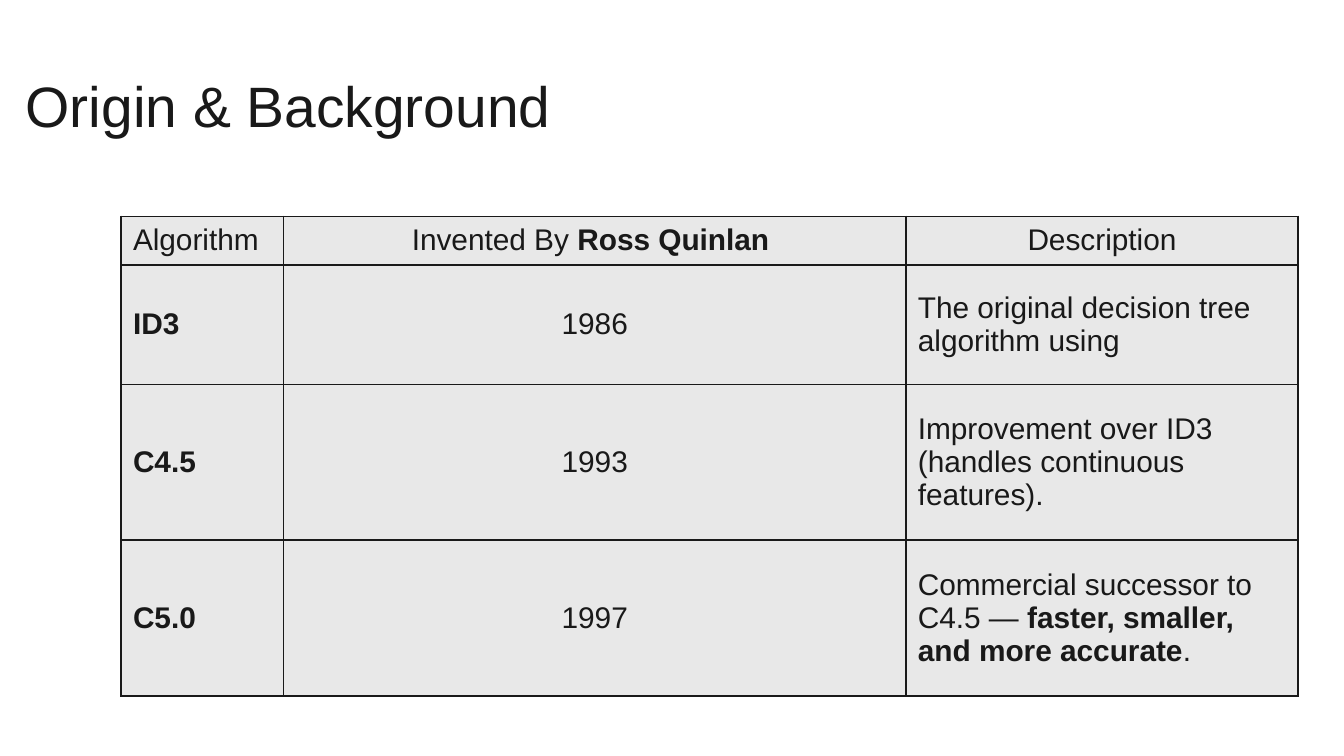
from pptx import Presentation
from pptx.dml.color import RGBColor
from pptx.enum import text
from pptx.oxml import parse_xml
from pptx.oxml.ns import nsdecls
from pptx.util import Inches, Pt

COLORS = {"ink": "191919", "cell": "E8E8E8", "page": "FFFFFF"}
LEFT, CENTER = text.PP_ALIGN.LEFT, text.PP_ALIGN.CENTER


def write(tf, runs, size=16, align=LEFT, spacing=None):
    """Fill the first paragraph with (text, bold) runs."""
    p = tf.paragraphs[0]
    p.alignment = align
    if spacing:
        p.line_spacing = spacing
    for words, bold in runs:
        r = p.add_run()
        r.text = words
        r.font.name = "Arial"
        r.font.size = Pt(size)
        r.font.bold = bold
        r.font.color.rgb = RGBColor.from_string(COLORS["ink"])


def add_borders(cell):
    """Draw a 1 pt line on all four sides, placed ahead of the fill."""
    tcPr = cell._tc.get_or_add_tcPr()
    for i, side in enumerate(("lnL", "lnR", "lnT", "lnB")):
        tcPr.insert(i, parse_xml(
            f'<a:{side} {nsdecls("a")} w="{Pt(1)}"><a:solidFill>'
            f'<a:srgbClr val="{COLORS["ink"]}"/></a:solidFill></a:{side}>'))


# Widescreen 16:9 slide
prs = Presentation()
prs.slide_width, prs.slide_height = Inches(10), Inches(10 * 9 / 16)
s = prs.slides.add_slide(prs.slide_layouts[5])
s.background.fill.solid()
s.background.fill.fore_color.rgb = RGBColor.from_string(COLORS["page"])

# Title
sp = s.shapes.title
sp.left, sp.top, sp.width, sp.height = map(Inches, (0.09, 0.23, 4.81, 1.16))
tf = sp.text_frame
tf.word_wrap = True
tf.auto_size = text.MSO_AUTO_SIZE.NONE
tf.vertical_anchor = text.MSO_ANCHOR.MIDDLE
tf.margin_left = tf.margin_right = tf.margin_top = tf.margin_bottom = Inches(0.1)
write(tf, [("Origin & Background", False)], size=30.5, spacing=0.9)

# Table content: each cell is a list of (text, bold) runs
rows = [
    [[("Algorithm", False)],
     [("Invented By ", False), ("Ross Quinlan ", True)],
     [("Description", False)]],
    [[("ID3", True)],
     [("1986", False)],
     [("The original decision tree algorithm using", False)]],
    [[("C4.5", True)],
     [("1993", False)],
     [("Improvement over ID3 (handles continuous features).", False)]],
    [[("C5.0", True)],
     [("1997", False)],
     [("Commercial successor to C4.5 — ", False),
      ("faster, smaller, and more accurate", True), (".", False)]],
]
col_widths = [1.21, 4.63, 2.92]
row_heights = [0.36, 0.89, 1.16, 1.16]

# Table
table = s.shapes.add_table(
    len(rows), len(col_widths), Inches(0.9), Inches(1.61),
    Inches(sum(col_widths)), Inches(sum(row_heights))).table
table.first_row = table.horz_banding = False
for col, width in zip(table.columns, col_widths):
    col.width = Inches(width)
for row, height in zip(table.rows, row_heights):
    row.height = Inches(height)

for i, row in enumerate(rows):
    for j, runs in enumerate(row):
        cell = table.cell(i, j)
        cell.fill.solid()
        cell.fill.fore_color.rgb = RGBColor.from_string(COLORS["cell"])
        cell.vertical_anchor = text.MSO_ANCHOR.MIDDLE
        cell.margin_left = cell.margin_right = Inches(0.09)
        cell.margin_top = cell.margin_bottom = Inches(0.04)
        centered = j == 1 or (i == 0 and j == 2)
        write(cell.text_frame, runs, align=CENTER if centered else LEFT)
        add_borders(cell)

prs.save("out.pptx")
